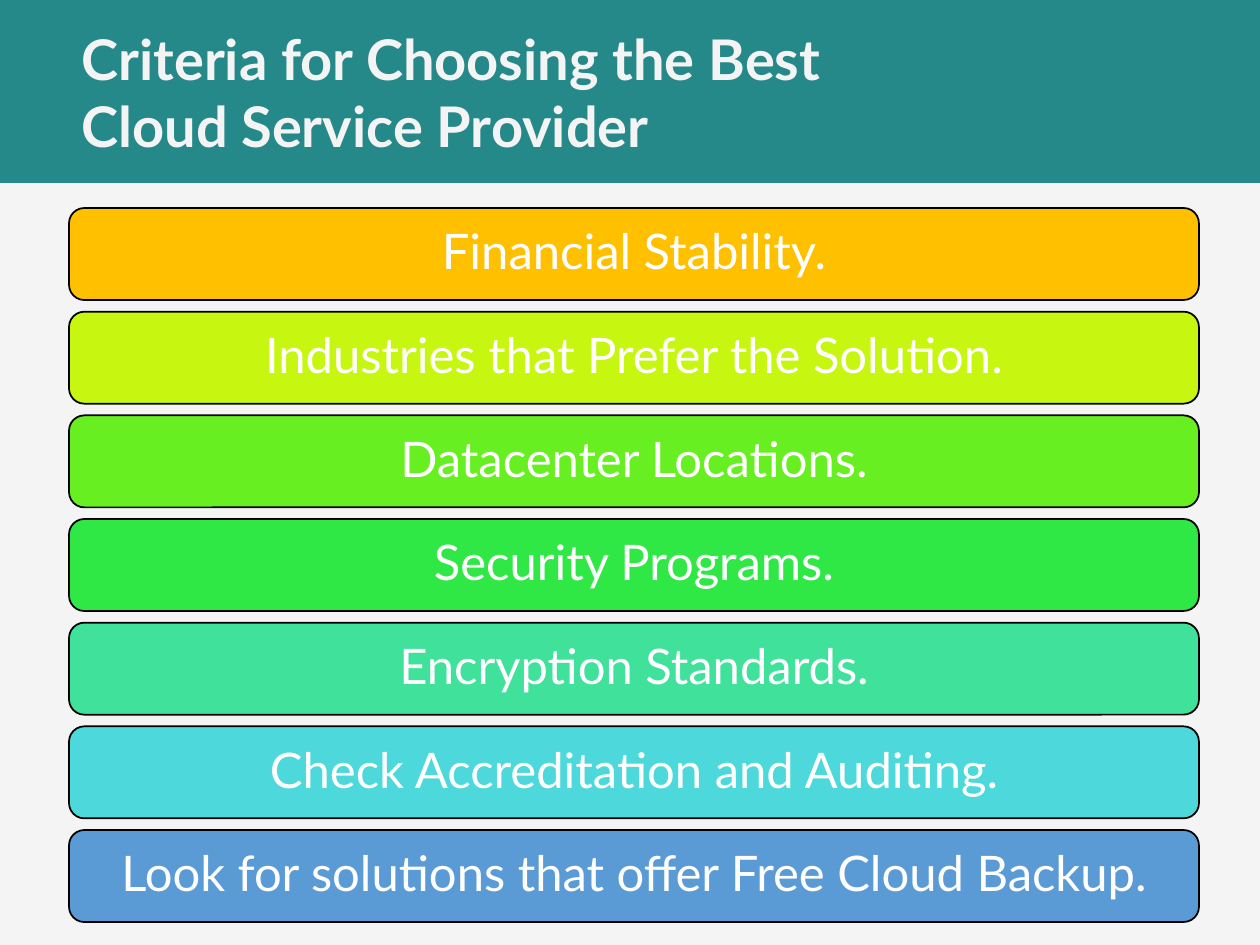
import pptx
import pptx.util
import pptx.dml.color
import pptx.enum.shapes
import pptx.enum.text

SHAPE = pptx.enum.shapes.MSO_SHAPE
ALIGN = pptx.enum.text.PP_ALIGN
FONT = "Lato"
HUES = {
    "page": "F4F4F5", "band": "258989", "line": "000000", "text": "FFFFFF",
    "amber": "FFC000", "lime": "C7F711", "grass": "67EF21", "green": "30E845",
    "mint": "3FE19B", "aqua": "4DD8DB", "blue": "5B9BD5",
}
ITEMS = [
    ("Financial Stability.", "amber"),
    ("Industries that Prefer the Solution.", "lime"),
    ("Datacenter Locations.", "grass"),
    ("Security Programs.", "green"),
    ("Encryption Standards.", "mint"),
    ("Check Accreditation and Auditing.", "aqua"),
    ("Look for solutions that offer\u00a0Free Cloud Backup.".replace("\u00a0", " "), "blue"),
]


def px(num):
    """Turn pixels, 126 to the inch, into EMU."""
    return pptx.util.Emu(round(num * 914400 / 126))


def hue(name):
    return pptx.dml.color.RGBColor.from_string(HUES[name])


def add_block(slide, kind, box, fill):
    block = slide.shapes.add_shape(kind, *map(px, box))
    block.shadow.inherit = False
    block.fill.solid()
    block.fill.fore_color.rgb = hue(fill)
    block.line.fill.background()
    return block


def set_text(frame, text, size, color, align, bold=False):
    frame.word_wrap = True
    frame.vertical_anchor = pptx.enum.text.MSO_ANCHOR.MIDDLE
    frame.text = text
    para = frame.paragraphs[0]
    para.alignment = align
    for run in para.runs:
        run.font.name = FONT
        run.font.size = pptx.util.Pt(size)
        run.font.bold = bold
        run.font.color.rgb = hue(color)


def add_header(slide, left, top, width, height):
    add_block(slide, SHAPE.RECTANGLE, (left, top, width, height), "band")
    inset = 69
    title = slide.shapes.add_textbox(
        px(left + inset), px(top), px(width - inset), px(height))
    set_text(title.text_frame,
             "Criteria for Choosing the Best\vCloud Service Provider",
             32, "page", ALIGN.LEFT, bold=True)


def add_bars(slide, left, top, width, height):
    """Stack one bar per item, with equal gaps filling the height."""
    tall = 92
    step = (height - tall) / (len(ITEMS) - 1)
    for i, (text, fill) in enumerate(ITEMS):
        bar = add_block(slide, SHAPE.ROUNDED_RECTANGLE,
                        (left, top + i * step, width, tall), fill)
        bar.line.color.rgb = hue("line")
        bar.line.width = pptx.util.Pt(1)
        set_text(bar.text_frame, text, 28, "text", ALIGN.CENTER)
        bar.text_frame.paragraphs[0].line_spacing = 0.9


def main():
    deck = pptx.Presentation()
    deck.slide_width, deck.slide_height = px(1260), px(945)
    slide = deck.slides.add_slide(deck.slide_layouts[6])
    slide.background.fill.solid()
    slide.background.fill.fore_color.rgb = hue("page")
    add_header(slide, 0, 0, 1260, 183)
    add_bars(slide, 69, 208, 1130, 714)
    deck.save("out.pptx")


if __name__ == "__main__":
    main()
